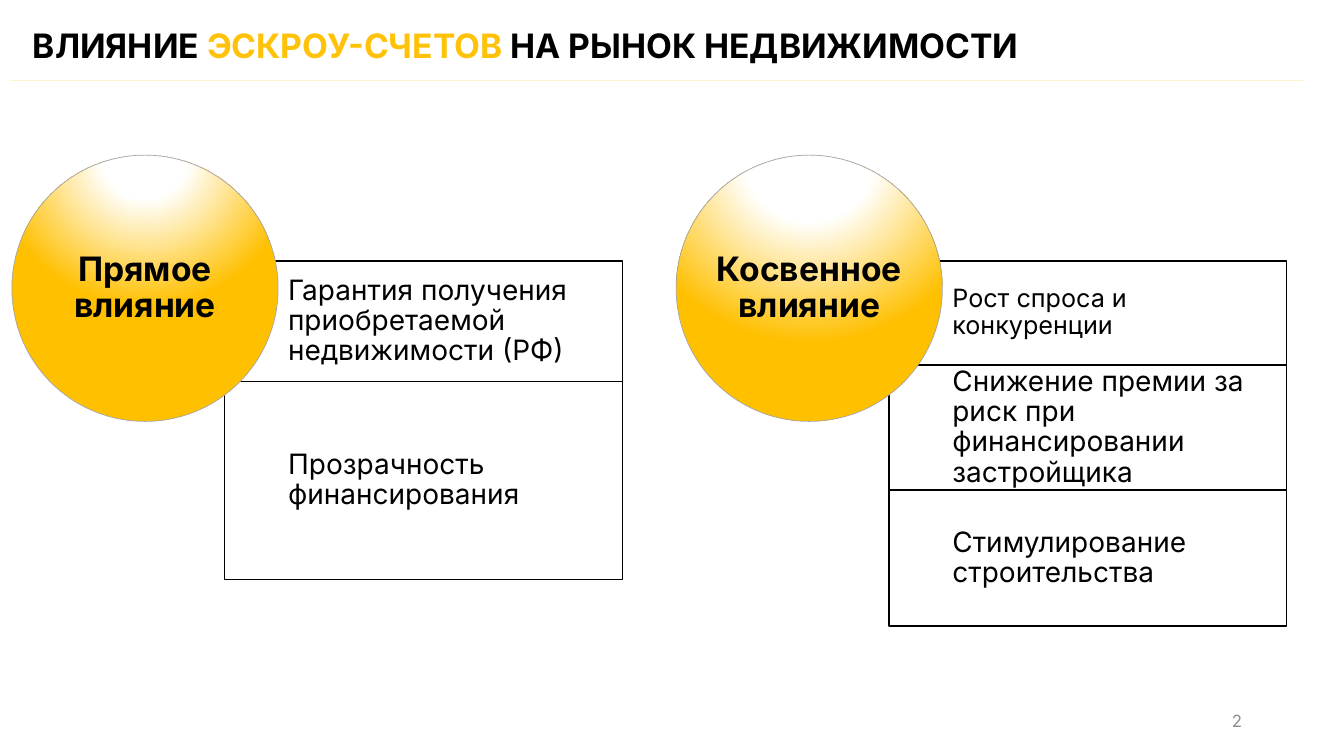
from lxml import etree
from pptx import Presentation, util as u
from pptx.dml.color import RGBColor
from pptx.enum import shapes, text
from pptx.oxml import parse_xml
from pptx.oxml.ns import nsdecls, qn

COLORS = {"black": "000000", "white": "FFFFFF", "gold": "FFC000",
          "accent": "FFC209", "rim": "A5A5A5", "number": "8C8C8C"}
LEFT, CENTER, RIGHT = text.PP_ALIGN.LEFT, text.PP_ALIGN.CENTER, text.PP_ALIGN.RIGHT


class InfluenceSlide:
    """Draw styled elements on one slide."""

    font = "Inter"

    def __init__(self, deck):
        self.page = deck.slides.add_slide(deck.slide_layouts[6])

    def color(self, name):
        return RGBColor.from_string(COLORS[name])

    def add_words(self, frame, runs, size, bold=False, align=LEFT, spacing=0.9, insets=None):
        frame.word_wrap = True
        frame.vertical_anchor = text.MSO_ANCHOR.MIDDLE
        if insets:
            (frame.margin_left, frame.margin_top,
             frame.margin_right, frame.margin_bottom) = map(u.Cm, insets)
        para = frame.paragraphs[0]
        para.alignment = align
        para.line_spacing = spacing
        for words, color in runs:
            span = para.add_run()
            span.text = words
            span.font.name = self.font
            span.font.size = u.Pt(size)
            span.font.bold = bold
            span.font.color.rgb = self.color(color)

    def label(self, bounds, runs, size, **style):
        box = self.page.shapes.add_textbox(*map(u.Cm, bounds))
        self.add_words(box.text_frame, runs, size, **style)

    def shape(self, kind, bounds, line, width):
        shape = self.page.shapes.add_shape(kind, *map(u.Cm, bounds))
        shape.shadow.inherit = False
        shape.line.color.rgb = self.color(line)
        shape.line.width = u.Pt(width)
        return shape

    def card(self, bounds, words, size, inset):
        card = self.shape(shapes.MSO_SHAPE.RECTANGLE, bounds, "black", 1)
        card.fill.solid()
        card.fill.fore_color.rgb = self.color("white")
        self.add_words(card.text_frame, [(words, "black")], size,
                       insets=(1.6, inset, inset, inset))

    def ball(self, bounds, words, stops):
        ball = self.shape(shapes.MSO_SHAPE.OVAL, bounds, "rim", 0.5)
        ball.fill.background()
        marks = "".join(f'<a:gs pos="{place * 1000}"><a:srgbClr val="{COLORS[name]}"/></a:gs>'
                        for place, name in stops)
        gradient = parse_xml(
            f'<a:gradFill {nsdecls("a")} rotWithShape="1"><a:gsLst>{marks}</a:gsLst>'
            '<a:path path="circle"><a:fillToRect l="50000" t="-80000" r="50000" b="180000"/>'
            '</a:path></a:gradFill>')
        properties = ball._element.spPr
        properties.replace(properties.find(qn("a:noFill")), gradient)
        self.add_words(ball.text_frame, [(words, "black")], 24, bold=True,
                       align=CENTER, insets=(0, 0, 0, 0))

    def rule(self, left, right, top, opacity):
        rule = self.page.shapes.add_connector(
            shapes.MSO_CONNECTOR.STRAIGHT, *map(u.Cm, (left, top, right, top)))
        rule.line.color.rgb = self.color("accent")
        rule.line.width = u.Pt(0.5)
        properties = rule._element.spPr
        tint = next(properties.iter(qn("a:srgbClr")))
        etree.SubElement(tint, qn("a:alpha"), val=str(opacity * 1000))
        etree.SubElement(properties, qn("a:effectLst"))

    def panel(self, left, title, stops, cards):
        top, diameter = 3.91, 6.71
        card_top = top + 2.67
        for words, height, size, inset in cards:
            self.card((left + 5.36, card_top, 10.03, height), words, size, inset)
            card_top += height
        self.ball((left, top, diameter, diameter), title, stops)


def main():
    deck = Presentation()
    deck.slide_width, deck.slide_height = u.Cm(33.87), u.Cm(19.05)
    slide = InfluenceSlide(deck)
    panels = [
        ("Прямое влияние", [(0, "white"), (23, "white"), (81, "gold")], [
            ("Гарантия получения приобретаемой недвижимости (РФ)", 3.04, 20, 0.4),
            ("Прозрачность финансирования", 4.98, 20, 0.4)]),
        ("Косвенное влияние", [(0, "white"), (35, "white"), (100, "gold")], [
            ("Рост спроса и конкуренции", 2.62, 18, 0.36),
            ("Снижение премии за риск при финансировании застройщика", 3.15, 20, 0.4),
            ("Стимулирование строительства", 3.43, 20, 0.4)]),
    ]
    for index, (title, stops, cards) in enumerate(panels):
        slide.panel(0.3 + 16.74 * index, title, stops, cards)
    slide.label((0.58, 0.18, 30.66, 2.03),
                [("ВЛИЯНИЕ ", "black"), ("ЭСКРОУ-СЧЕТОВ", "accent"),
                 (" НА РЫНОК НЕДВИЖИМОСТИ", "black")], 24, bold=True)
    slide.rule(0.25, 32.84, 2.03, 20)
    slide.label((23.93, 17.65, 7.62, 1.02), [("2", "number")], 12, align=RIGHT, spacing=1.0)
    deck.save("out.pptx")


if __name__ == "__main__":
    main()
